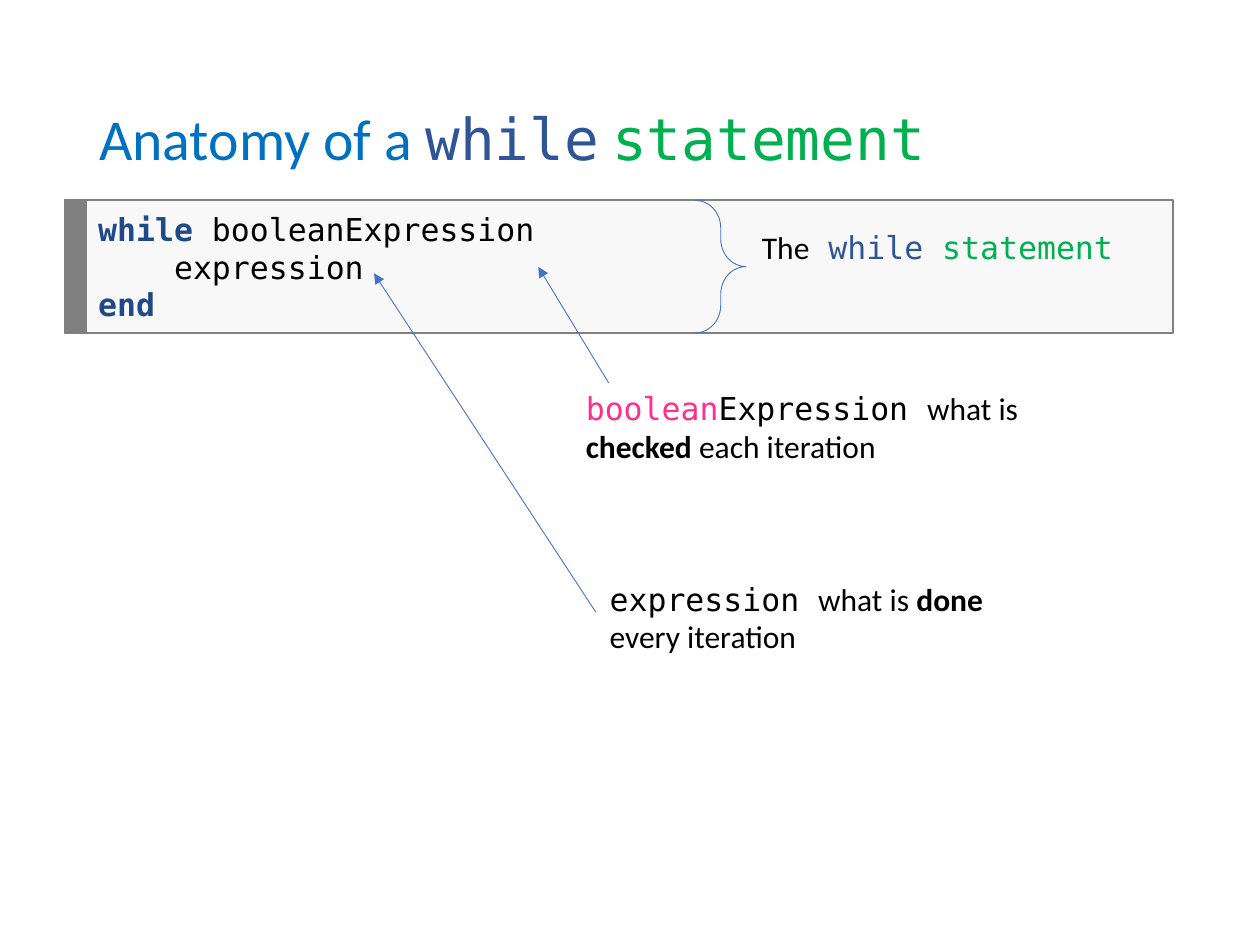
from lxml.etree import SubElement
from pptx import Presentation
from pptx.dml.color import RGBColor
from pptx.enum.shapes import MSO_CONNECTOR, MSO_SHAPE
from pptx.enum.text import MSO_ANCHOR, PP_ALIGN
from pptx.oxml.ns import qn
from pptx.util import Cm, Pt

BLACK = RGBColor(0x00, 0x00, 0x00)
GRAY = RGBColor(0x80, 0x80, 0x80)
PALE_GRAY = RGBColor(0xF8, 0xF8, 0xF8)
KEYWORD_BLUE = RGBColor(0x20, 0x4A, 0x87)
TITLE_BLUE = RGBColor(0x00, 0x70, 0xC0)
WHILE_BLUE = RGBColor(0x2F, 0x55, 0x97)
LINE_BLUE = RGBColor(0x44, 0x72, 0xC4)
GREEN = RGBColor(0x00, 0xB0, 0x50)
PINK = RGBColor(0xFF, 0x2F, 0x92)
BODY, CODE = "Calibri", "DejaVu Sans Mono"


def add_runs(paragraph, runs, size=18):
    """Add (text, font name, colour, bold) runs to a left-aligned paragraph."""
    paragraph.alignment = PP_ALIGN.LEFT
    for text, font_name, color, bold in runs:
        run = paragraph.add_run()
        run.text = text
        run.font.name = font_name
        run.font.size = Pt(size)
        run.font.bold = bold
        run.font.color.rgb = color


def add_text_box(left, top, width, height, runs, size=18):
    shape = slide.shapes.add_textbox(Cm(left), Cm(top), Cm(width), Cm(height))
    shape.text_frame.word_wrap = True
    add_runs(shape.text_frame.paragraphs[0], runs, size)
    return shape


presentation = Presentation()
presentation.slide_width, presentation.slide_height = Cm(25.4), Cm(19.05)
slide = presentation.slides.add_slide(presentation.slide_layouts[6])

# Code panel with a dark bar on its left
panel_top, panel_height = 4.04, 2.67
panel = slide.shapes.add_group_shape()
panel_parts = []
for left, width, fill in [(1.73, 21.92, PALE_GRAY), (1.3, 0.43, GRAY)]:
    shape = panel.shapes.add_shape(MSO_SHAPE.RECTANGLE, Cm(left), Cm(panel_top),
                                   Cm(width), Cm(panel_height))
    shape.shadow.inherit = False
    shape.fill.solid()
    shape.fill.fore_color.rgb = fill
    shape.line.color.rgb = GRAY
    shape.line.width = Pt(1)
    panel_parts.append(shape)

code_frame = panel_parts[0].text_frame
code_frame.word_wrap = True
code_frame.vertical_anchor = MSO_ANCHOR.MIDDLE
code_lines = [
    (0, [("while ", CODE, KEYWORD_BLUE, True), ("booleanExpression", CODE, BLACK, False)]),
    (1.53, [("expression", CODE, BLACK, False)]),
    (0, [("end", CODE, KEYWORD_BLUE, True)]),
]
for number, (indent, runs) in enumerate(code_lines):
    paragraph = code_frame.add_paragraph() if number else code_frame.paragraphs[0]
    add_runs(paragraph, runs)
    paragraph._p.get_or_add_pPr().set("marL", str(Cm(indent)))

# Title
title = add_text_box(1.75, 1.02, 21.89, 3.68, [
    ("Anatomy of a ", BODY, TITLE_BLUE, False),
    ("while", CODE, WHILE_BLUE, False),
    (" ", BODY, WHILE_BLUE, False),
    ("statement", CODE, GREEN, False),
], size=33)
title.text_frame.vertical_anchor = MSO_ANCHOR.MIDDLE
title.text_frame.paragraphs[0].line_spacing = 0.9

# Brace around the whole statement
brace = slide.shapes.add_shape(MSO_SHAPE.RIGHT_BRACE, Cm(14.02), Cm(panel_top),
                               Cm(1.02), Cm(panel_height))
brace.shadow.inherit = False
brace.adjustments[0] = 0.545
brace.fill.background()
brace.line.color.rgb = LINE_BLUE
brace.line.width = Pt(0.5)

# Arrows from the explanations to the code
for start_x, start_y, end_x, end_y in [(12.01, 12.34, 7.54, 5.51),
                                       (12.27, 7.72, 10.85, 5.38)]:
    arrow = slide.shapes.add_connector(MSO_CONNECTOR.STRAIGHT, Cm(start_x), Cm(start_y),
                                       Cm(end_x), Cm(end_y))
    arrow.line.color.rgb = LINE_BLUE
    arrow.line.width = Pt(0.5)
    SubElement(arrow.line._get_or_add_ln(), qn("a:tailEnd"), type="triangle")
    SubElement(arrow._element.spPr, qn("a:effectLst"))

# Explanations
add_text_box(11.56, 7.72, 9.3, 1.8, [
    ("boolean", CODE, PINK, False),
    ("Expression ", CODE, BLACK, False),
    ("what is ", BODY, BLACK, False),
    ("checked", BODY, BLACK, True),
    (" each iteration", BODY, BLACK, False),
])
add_text_box(12.04, 11.56, 9.3, 1.8, [
    ("expression ", CODE, BLACK, False),
    ("what is ", BODY, BLACK, False),
    ("done", BODY, BLACK, True),
    (" every iteration", BODY, BLACK, False),
])
add_text_box(15.11, 4.47, 9.3, 1.02, [
    ("The", BODY, BLACK, False),
    (" while ", CODE, WHILE_BLUE, False),
    ("statement", CODE, GREEN, False),
])

presentation.save("out.pptx")
